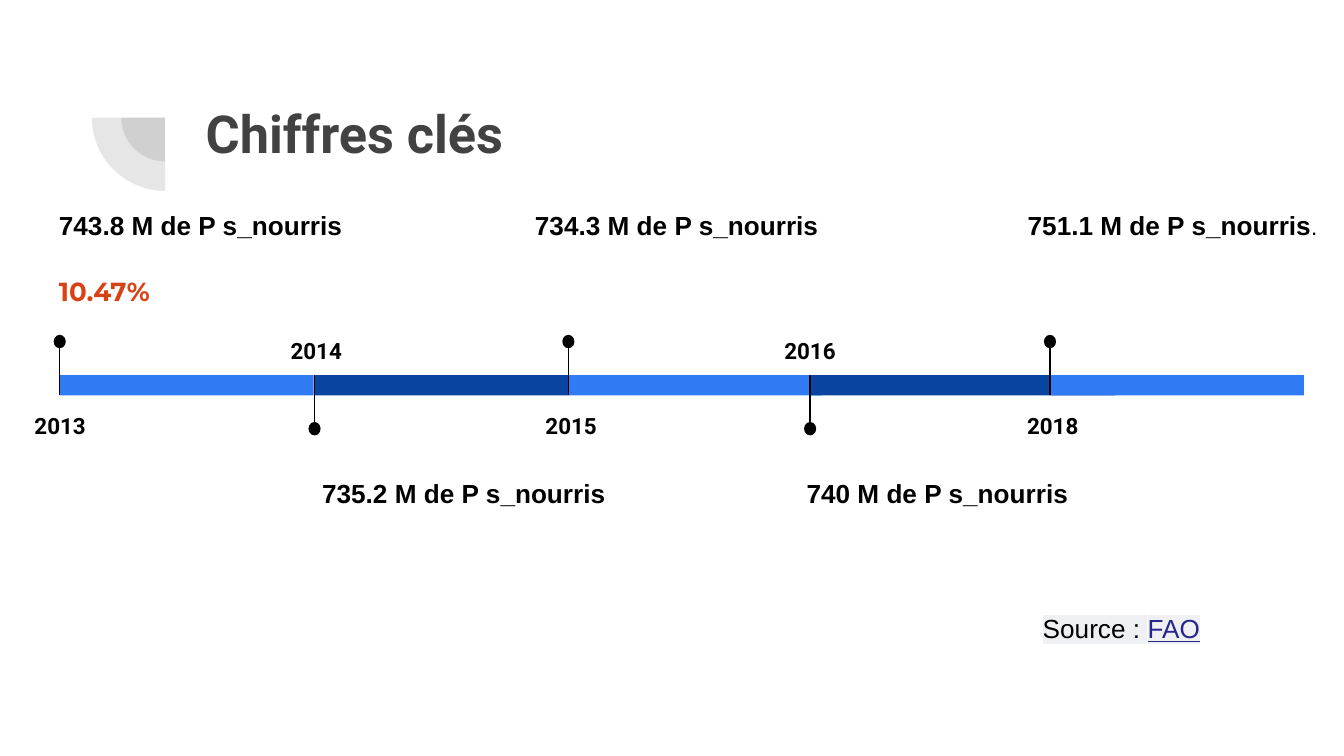
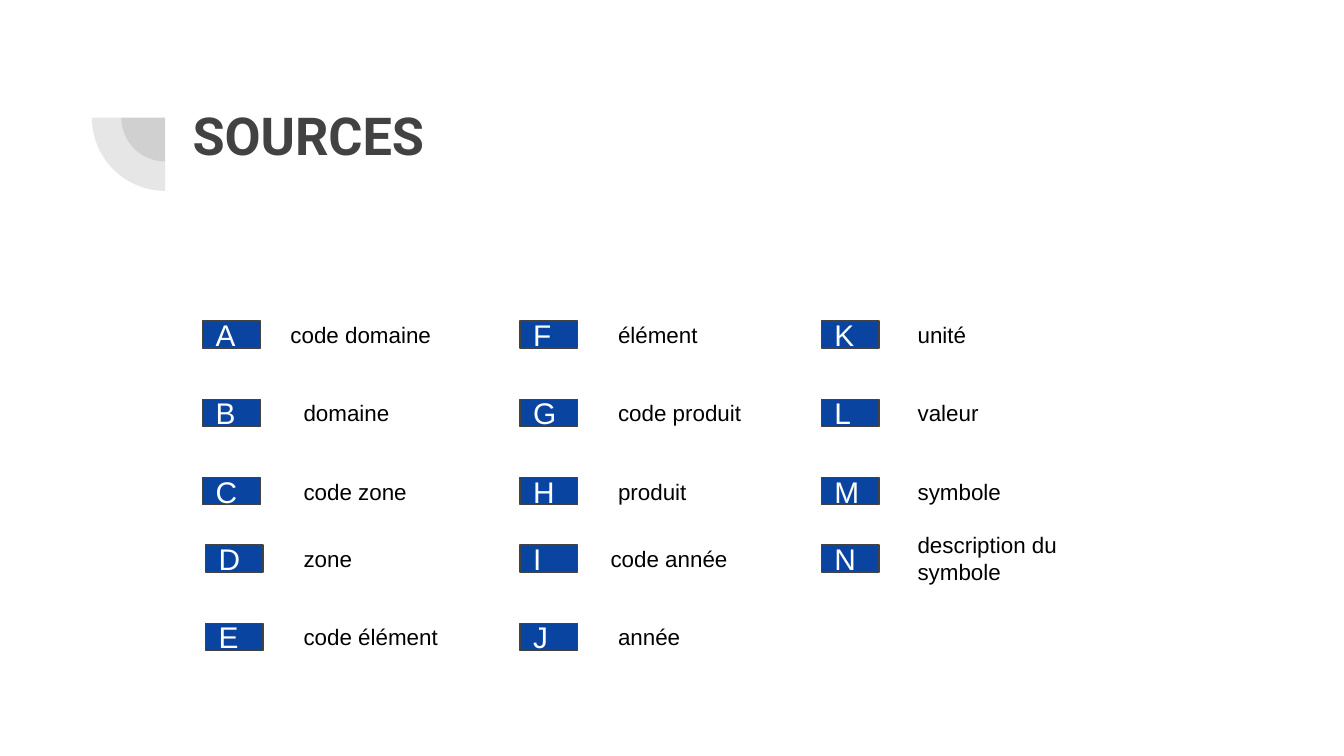
"""Build two slides: a timeline of key figures and a grid of source fields."""
import dataclasses
import typing

import lxml.etree
import pptx
import pptx.dml.color
import pptx.enum.shapes
import pptx.enum.text
import pptx.oxml.ns
import pptx.util

Pt = pptx.util.Pt
qn = pptx.oxml.ns.qn
SHAPE = pptx.enum.shapes.MSO_SHAPE
ALIGN = pptx.enum.text.PP_ALIGN
ANCHOR = pptx.enum.text.MSO_ANCHOR
FIT = pptx.enum.text.MSO_AUTO_SIZE

COLORS = {
    "text": "000000",
    "title": "424242",
    "light": "307BF3",
    "dark": "0944A1",
    "white": "FFFFFF",
    "accent": "D84315",
    "link": "27278B",
    "shade": "EFF0F4",
}
FONTS = {
    "title": {"name": "Roboto", "size": Pt(28), "bold": True},
    "year": {"name": "Roboto", "size": Pt(12), "bold": True},
    "note": {"name": "Arial", "size": Pt(14), "bold": True},
    "share": {"name": "Montserrat", "size": Pt(14), "bold": True},
    "source": {"name": "Arial", "size": Pt(14)},
    "link": {"name": "Arial", "size": Pt(14), "underline": True},
    "key": {"name": "Arial", "size": Pt(16)},
    "label": {"name": "Arial", "size": Pt(12)},
}
YEAR_PARAGRAPH = {"alignment": ALIGN.CENTER, "line_spacing": 1.15, "space_after": Pt(16)}
BAR_TOP, BAR_HEIGHT = 201, 10.8
ROW_TOPS = (172, 214, 256, 292, 334)
KEY_WIDTH, KEY_HEIGHT = 31, 14.4


class Box(typing.NamedTuple):
    left: float
    top: float
    width: float
    height: float


class Run(typing.NamedTuple):
    text: str
    font: str
    color: str = "text"
    highlight: str = ""


@dataclasses.dataclass
class Paragraph:
    runs: list[Run]
    format: dict[str, typing.Any] = dataclasses.field(default_factory=dict)


@dataclasses.dataclass
class Milestone:
    year: str
    x: float
    year_left: float
    year_width: float
    note_left: float
    note_width: float
    note: list[Paragraph]
    above: bool
    bar_width: float = 136


@dataclasses.dataclass
class Column:
    key_left: float
    label_left: float
    fields: list["Field"]


class Field(typing.NamedTuple):
    key: str
    label: str
    key_shift: float = 0
    label_shift: float = 0
    label_width: float = 140
    lines: int = 1


MILESTONES = [
    Milestone("2013", 32, 2, 60.5, 24.5, 266, [
        Paragraph([Run("743.8 M de P s_nourris", "note")]),
        Paragraph([Run("10.47%", "share", "accent", "white")],
                  {"line_spacing": 1.15, "space_before": Pt(16)}),
    ], True),
    Milestone("2014", 168.5, 143.5, 52, 165.5, 194,
              [Paragraph([Run("735.2 M de P s_nourris", "note")])], False),
    Milestone("2015", 304.5, 282, 48, 279.5, 242,
              [Paragraph([Run("734.3 M de P s_nourris", "note")])], True),
    Milestone("2016", 434, 408, 52, 425, 156,
              [Paragraph([Run("740 M de P s_nourris", "note")])], False, 163.5),
    Milestone("2018", 562.5, 540, 48, 543.5, 189, [
        Paragraph([Run("751.1 M de P s_nourris", "note"), Run(".", "label")],
                  {"space_after": Pt(16)}),
    ], True),
]
COLUMNS = [
    Column(108.5, 155.5, [
        Field("A", "code domaine", label_shift=-7),
        Field("B", "domaine"),
        Field("C", "code zone"),
        Field("D", "zone", key_shift=1.5),
        Field("E", "code élément", key_shift=1.5),
    ]),
    Column(278.5, 324, [
        Field("F", "élément"),
        Field("G", "code produit"),
        Field("H", "produit"),
        Field("I", "code année", label_shift=-4),
        Field("J", "année"),
    ]),
    Column(440, 484.5, [
        Field("K", "unité"),
        Field("L", "valeur"),
        Field("M", "symbole"),
        Field("N", "description du symbole", label_width=130, lines=2),
    ]),
]


def rgb(color: str) -> pptx.dml.color.RGBColor:
    return pptx.dml.color.RGBColor.from_string(COLORS[color])


def points(box: Box) -> list[pptx.util.Length]:
    return [Pt(v) for v in box]


def apply(target: typing.Any, values: dict[str, typing.Any]) -> None:
    for name, value in values.items():
        setattr(target, name, value)


def write(sp: typing.Any, paragraphs: list[Paragraph], **frame: typing.Any) -> None:
    tf = sp.text_frame
    margins = {f"margin_{side}": Pt(7.2) for side in ("left", "top", "right", "bottom")}
    apply(tf, {"word_wrap": True, "auto_size": FIT.NONE, "vertical_anchor": ANCHOR.TOP,
               **margins, **frame})
    for i, paragraph in enumerate(paragraphs):
        p = tf.add_paragraph() if i else tf.paragraphs[0]
        apply(p, {"alignment": ALIGN.LEFT, **paragraph.format})
        for run in paragraph.runs:
            r = p.add_run()
            r.text = run.text
            apply(r.font, FONTS[run.font])
            r.font.color.rgb = rgb(run.color)
            if run.highlight:
                mark = lxml.etree.Element(qn("a:highlight"))
                lxml.etree.SubElement(mark, qn("a:srgbClr"), val=COLORS[run.highlight])
                r._r.get_or_add_rPr().find(qn("a:solidFill")).addnext(mark)


def add_text(shapes: typing.Any, box: Box, paragraphs: list[Paragraph],
             **frame: typing.Any) -> None:
    write(shapes.add_textbox(*points(box)), paragraphs, **frame)


def add_shape(shapes: typing.Any, kind: SHAPE, box: Box, fill: str, line: str = "") -> typing.Any:
    sp = shapes.add_shape(kind, *points(box))
    sp.shadow.inherit = False
    sp.fill.solid()
    sp.fill.fore_color.rgb = rgb(fill)
    if line:
        sp.line.color.rgb = rgb(line)
        sp.line.width = Pt(0.75)
    else:
        sp.line.fill.background()
    return sp


def add_line(shapes: typing.Any, x: float, start: float, end: float) -> None:
    cxn = shapes.add_connector(pptx.enum.shapes.MSO_CONNECTOR.STRAIGHT,
                               Pt(x), Pt(start), Pt(x), Pt(end))
    cxn.line.color.rgb = rgb("text")
    cxn.line.width = Pt(0.75)
    lxml.etree.SubElement(cxn.element.spPr, qn("a:effectLst"))


def add_slide(prs: typing.Any, title: str, box: Box) -> typing.Any:
    s = prs.slides.add_slide(prs.slide_layouts.get_by_name("Title Only"))
    for diameter in (47, 78.5):
        sp = add_shape(s.shapes, SHAPE.PIE,
                       Box(88.5 - diameter / 2, 63 - diameter / 2, diameter, diameter), "title")
        sp.adjustments[0], sp.adjustments[1] = 108, 162
        sp.rotation = 270
        color = sp.element.spPr.find(qn("a:solidFill")).find(qn("a:srgbClr"))
        lxml.etree.SubElement(color, qn("a:alpha"), val="13000")
    apply(s.shapes.title, dict(zip(("left", "top", "width", "height"), points(box))))
    write(s.shapes.title, [Paragraph([Run(title, "title", "title")])])
    return s


def add_milestone(s: typing.Any, m: Milestone) -> None:
    shapes = s.shapes.add_group_shape().shapes
    add_shape(shapes, SHAPE.RECTANGLE, Box(m.x, BAR_TOP, m.bar_width, BAR_HEIGHT),
              "light" if m.above else "dark")
    if m.above:
        start, end, year_top, note_top = 183, BAR_TOP + BAR_HEIGHT, 211.7, 105
    else:
        start, end, year_top, note_top = 229.7, BAR_TOP, 171.4, 248.5
    add_line(shapes, m.x, start, end)
    add_shape(shapes, SHAPE.OVAL, Box(m.x - 3.25, start - 3.6, 6.5, 7.2), "text")
    add_text(shapes, Box(m.year_left, year_top, m.year_width, 29.5),
             [Paragraph([Run(m.year, "year")], YEAR_PARAGRAPH)])
    add_text(shapes, Box(m.note_left, note_top, m.note_width, 74), m.note)


def add_field(s: typing.Any, column: Column, field: Field, top: float) -> None:
    key = add_shape(s.shapes, SHAPE.RECTANGLE,
                    Box(column.key_left + field.key_shift, top, KEY_WIDTH, KEY_HEIGHT),
                    "dark", "title")
    write(key, [Paragraph([Run(field.key, "key", "white")])], vertical_anchor=ANCHOR.MIDDLE)
    height = 14.4 + 14.5 * field.lines
    add_text(s.shapes, Box(column.label_left + field.label_shift,
                           top + (KEY_HEIGHT - height) / 2, field.label_width, height),
             [Paragraph([Run(field.label, "label")])], auto_size=FIT.SHAPE_TO_FIT_TEXT)


def main() -> None:
    prs = pptx.Presentation()
    prs.slide_width, prs.slide_height = Pt(720), Pt(405)

    s = add_slide(prs, "Chiffres clés", Box(103, 47, 553.5, 78.5))
    for milestone in MILESTONES:
        add_milestone(s, milestone)
    add_text(s.shapes, Box(551.5, 321, 126, 31.5),
             [Paragraph([Run("Source : ", "source", highlight="shade"),
                         Run("FAO", "link", "link", "shade")])],
             auto_size=FIT.SHAPE_TO_FIT_TEXT)

    s = add_slide(prs, "SOURCES", Box(96, 48, 553.5, 78.5))
    for column in COLUMNS:
        for field, top in zip(column.fields, ROW_TOPS):
            add_field(s, column, field, top)

    prs.save("out.pptx")


if __name__ == "__main__":
    main()
